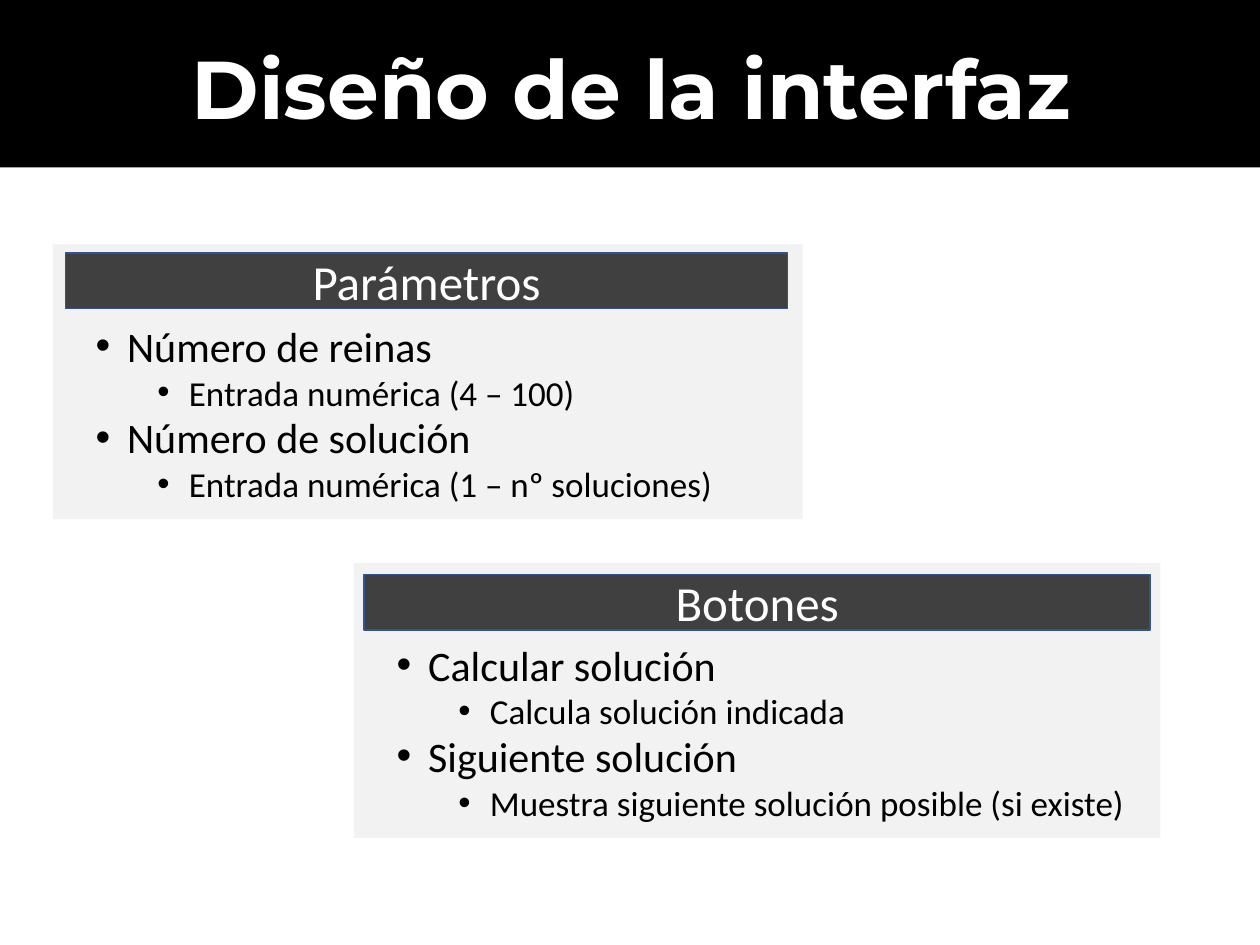
from dataclasses import dataclass

from lxml import etree
from pptx import Presentation
from pptx.dml.color import RGBColor
from pptx.enum.shapes import MSO_SHAPE
from pptx.enum.text import MSO_ANCHOR, PP_ALIGN
from pptx.oxml.ns import qn
from pptx.util import Inches, Pt

RECTANGLE = MSO_SHAPE.RECTANGLE
TOP, MIDDLE, BOTTOM = MSO_ANCHOR.TOP, MSO_ANCHOR.MIDDLE, MSO_ANCHOR.BOTTOM
LEFT, CENTER = PP_ALIGN.LEFT, PP_ALIGN.CENTER


@dataclass(frozen=True)
class Theme:
    black: str = "000000"
    white: str = "FFFFFF"
    panel: str = "F2F2F2"
    heading: str = "404040"
    heading_border: str = "325491"
    title_font: str = "Montserrat"
    body_font: str = "Calibri"
    title_size: float = 46.8
    heading_size: float = 28
    item_size: float = 24
    detail_size: float = 20


class SlideBuilder:
    def __init__(self, slide, theme):
        self.slide = slide
        self.theme = theme

    def rectangle(self, left, top, width, height, fill, border=None):
        shape = self.slide.shapes.add_shape(
            RECTANGLE, Inches(left), Inches(top), Inches(width), Inches(height))
        shape.shadow.inherit = False
        shape.fill.solid()
        shape.fill.fore_color.rgb = RGBColor.from_string(fill)
        if border:
            shape.line.color.rgb = RGBColor.from_string(border)
            shape.line.width = Pt(1)
        else:
            shape.line.fill.background()
        return shape

    def add_text(self, paragraph, text, size, color, align=CENTER, font=None, bold=False):
        paragraph.alignment = align
        run = paragraph.add_run()
        run.text = text
        run.font.name = font or self.theme.body_font
        run.font.size = Pt(size)
        run.font.bold = bold
        run.font.color.rgb = RGBColor.from_string(color)

    def title(self, text):
        theme = self.theme
        self.rectangle(0, 0, 10, 1.33, theme.black)
        box = self.slide.shapes.add_textbox(
            Inches(0.95), Inches(0.01), Inches(8.12), Inches(1.13))
        frame = box.text_frame
        frame.word_wrap = True
        frame.vertical_anchor = BOTTOM
        paragraph = frame.paragraphs[0]
        paragraph.line_spacing = 0.9
        self.add_text(paragraph, text, theme.title_size, theme.white,
                      font=theme.title_font, bold=True)

    def bullet(self, paragraph, text, level):
        theme = self.theme
        paragraph.level = level
        paragraph.line_spacing = 0.8
        paragraph.space_before = Pt(5)
        size = theme.item_size if level == 1 else theme.detail_size
        self.add_text(paragraph, text, size, theme.black, LEFT)
        properties = paragraph._p.get_or_add_pPr()
        properties.set("marL", str(Inches(0.49 * level)))
        properties.set("indent", str(Inches(-0.25)))
        etree.SubElement(properties, qn("a:buFont"), typeface="Arial")
        etree.SubElement(properties, qn("a:buChar"), char="•")

    def bullet_panel(self, left, top, width, items):
        """Draw a panel of (item, detail) pairs, leaving room for its heading."""
        panel = self.rectangle(left, top, width, 2.18, self.theme.panel)
        frame = panel.text_frame
        frame.word_wrap = True
        frame.vertical_anchor = TOP
        frame.margin_top = Inches(0.68)
        paragraph = frame.paragraphs[0]
        for index, pair in enumerate(items):
            for level, text in enumerate(pair, start=1):
                if index or level > 1:
                    paragraph = frame.add_paragraph()
                self.bullet(paragraph, text, level)

    def heading(self, left, top, width, text):
        theme = self.theme
        bar = self.rectangle(left, top, width, 0.44, theme.heading, theme.heading_border)
        frame = bar.text_frame
        frame.word_wrap = True
        frame.vertical_anchor = MIDDLE
        self.add_text(frame.paragraphs[0], text, theme.heading_size, theme.white)


def main():
    presentation = Presentation()
    presentation.slide_width = Inches(10)
    presentation.slide_height = Inches(7.5)
    slide = presentation.slides.add_slide(presentation.slide_layouts[6])
    builder = SlideBuilder(slide, Theme())

    builder.title("Diseño de la interfaz")
    builder.bullet_panel(0.42, 1.94, 5.95, [
        ("Número de reinas", "Entrada numérica (4 – 100)"),
        ("Número de solución", "Entrada numérica (1 – nº soluciones)"),
    ])
    builder.heading(0.52, 2.01, 5.73, "Parámetros")
    builder.bullet_panel(2.81, 4.47, 6.4, [
        ("Calcular solución", "Calcula solución indicada"),
        ("Siguiente solución", "Muestra siguiente solución posible (si existe)"),
    ])
    builder.heading(2.89, 4.56, 6.24, "Botones")

    presentation.save("out.pptx")


if __name__ == "__main__":
    main()
